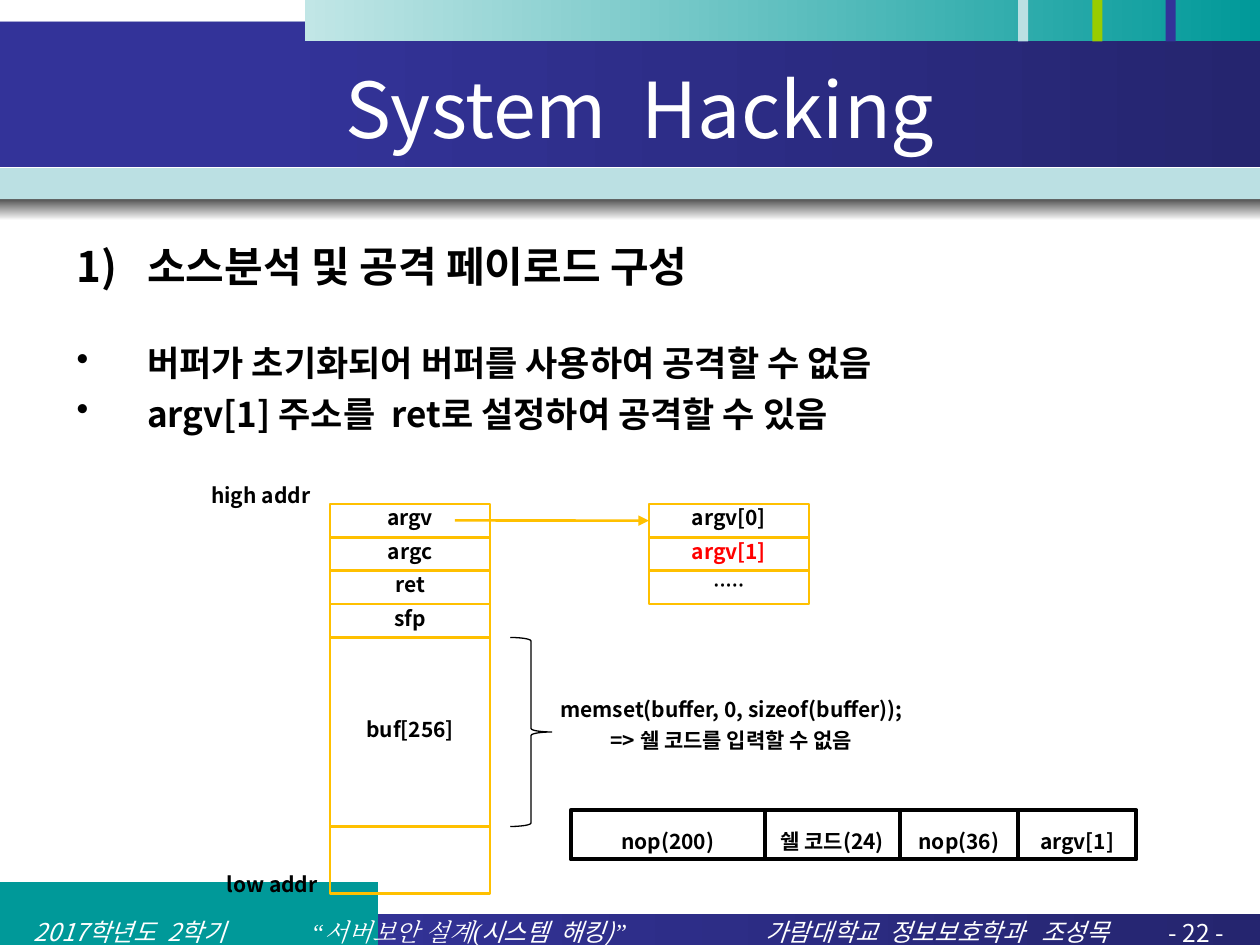
"""Build the stack layout and attack payload slide of a system hacking lecture."""
import pptx
import pptx.dml.color
import pptx.enum.shapes
import pptx.enum.text
import pptx.oxml.ns
import pptx.util
from lxml import etree

Inches = pptx.util.Inches
Pt = pptx.util.Pt
Shape = pptx.enum.shapes.MSO_SHAPE
Align = pptx.enum.text.PP_ALIGN
Anchor = pptx.enum.text.MSO_ANCHOR
qn = pptx.oxml.ns.qn

THEME = {
    "white": "FFFFFF", "black": "000000", "navy": "333399", "navy_dark": "25256F",
    "teal": "009999", "pale": "BBE0E3", "lime": "99CC00", "amber": "FFC000", "red": "FF0000",
    "font": "Noto Sans CJK KR", "serif": "Times New Roman", "dots": "Cambria",
    "title": 44, "heading": 24, "bullet": 20, "footer": 14, "label": 12,
}

BANDS = [
    ((2.08, 0, 7.92, 1.58), ("navy", "navy_dark"), 0),
    ((0, 0, 10, 0.33), ("white", "teal"), 0),
    ((8.08, 0, 0.08, 0.33), ("pale",), 0),
    ((8.67, 0, 0.08, 0.33), ("lime",), 0),
    ((9.25, 0, 0.08, 0.33), ("navy",), 0),
    ((0, 0.17, 2.42, 1.17), ("navy",), 0),
    ((0, 1.5, 10, 0.25), ("black", "white"), 270),
    ((0, 1.33, 10, 0.25), ("pale",), 0),
    ((0, 0, 2.42, 0.17), ("white",), 0),
    ((2.25, 7.25, 7.75, 0.25), ("navy", "navy_dark"), 0),
]
FOOTER_TAB = [(0, 7.25), (2.83, 7.25), (2.61, 7.5), (0, 7.5)]
COURSE = [("2017학년도  2학기\t", "font"), ("“서버보안 설계(", "serif"),
          ("시스템  해킹)", "font"), ("”", "serif")]
TEACHER = "가람대학교  정보보호학과   조성목"
PAGE_NUMBER = "- 22 -"
TITLE = "System  Hacking"
BODY = [
    ("소스분석 및 공격 페이로드 구성", "heading", "1)", 6, 1),
    ("버퍼가 초기화되어 버퍼를 사용하여 공격할 수 없음", "bullet", "•", 5, 2),
    ("argv[1] 주소를  ret로 설정하여 공격할 수 있음", "bullet", "•", 5, 1),
]
ROW = 0.265
STACK = [("argv", ROW), ("argc", ROW), ("ret", ROW), ("sfp", ROW), ("buf[256]", 1.5), ("", 0.53)]
ARGUMENTS = [("argv[0]", "black", "font"), ("argv[1]", "red", "font"), ("∙∙∙∙∙", "black", "dots")]
PAYLOAD = [("nop(200)", 1.54), ("쉘 코드(24)", 1.07), ("nop(36)", 0.94), ("argv[1]", 0.94)]
LABELS = [
    ((1.7, 6.87, 0.92, 0.3), ["low addr"]),
    ((1.57, 3.78, 1, 0.3), ["high addr"]),
    ((4.33, 5.48, 2.95, 0.54), ["memset(buffer, 0, sizeof(buffer));", "=> 쉘 코드를 입력할 수 없음"]),
]
STACK_LEFT, ARGUMENTS_LEFT, STACK_TOP, CELL_WIDTH = 2.62, 5.15, 4, 1.27


def color(name):
    return pptx.dml.color.RGBColor.from_string(THEME[name])


def add_span(para, text, size, ink="black", font="font", bold=False, italic=False):
    span = para.add_run()
    span.text = text
    span.font.size = Pt(THEME[size])
    span.font.bold, span.font.italic = bold, italic
    span.font.color.rgb = color(ink)
    span.font.name = THEME[font]
    etree.SubElement(span.font._element, qn("a:ea"), typeface=THEME[font])


def add_text_box(slide, place, wrap=True):
    frame = slide.shapes.add_textbox(*map(Inches, place)).text_frame
    frame.word_wrap = wrap
    return frame


def next_paragraph(frame, index):
    return frame.add_paragraph() if index else frame.paragraphs[0]


def paint(shape, names, angle=0):
    shape.shadow.inherit = False
    shape.line.fill.background()
    if len(names) == 1:
        shape.fill.solid()
        shape.fill.fore_color.rgb = color(names[0])
        return
    shape.fill.gradient()
    shape.fill.gradient_angle = angle
    for stop, name in zip(shape.fill.gradient_stops, names):
        stop.color.rgb = color(name)


def add_outline(slide, kind, place, edge, width):
    shape = slide.shapes.add_shape(kind, *map(Inches, place))
    shape.shadow.inherit = False
    shape.fill.background()
    shape.line.color.rgb = color(edge)
    shape.line.width = Pt(width)
    return shape


def add_cell(slide, place, text, edge="amber", width=1.5, spacing=0.7, ink="black", font="font"):
    cell = add_outline(slide, Shape.RECTANGLE, place, edge, width)
    cell.text_frame.vertical_anchor = Anchor.MIDDLE
    if text:
        para = cell.text_frame.paragraphs[0]
        para.alignment = Align.CENTER
        para.line_spacing = spacing
        para.space_before = Pt(3)
        add_span(para, text, "label", ink, font, bold=True)
    return cell


def add_line(slide, start, end, ink, width):
    line = slide.shapes.add_connector(pptx.enum.shapes.MSO_CONNECTOR.STRAIGHT,
                                      *map(Inches, start + end))
    line.line.color.rgb = color(ink)
    line.line.width = Pt(width)
    etree.SubElement(line._element.spPr, qn("a:effectLst"))
    return line


def add_frame(slide):
    for place, names, angle in BANDS:
        paint(slide.shapes.add_shape(Shape.RECTANGLE, *map(Inches, place)), names, angle)
    builder = slide.shapes.build_freeform(*FOOTER_TAB[0], scale=Inches(1))
    builder.add_line_segments(FOOTER_TAB[1:], close=True)
    paint(builder.convert_to_shape(), ("teal",))
    add_line(slide, (10, 1.33), (0, 1.33), "white", 0.75)

    para = add_text_box(slide, (0.17, 7.23, 5.46, 0.5)).paragraphs[0]
    tabs = etree.SubElement(para._p.get_or_add_pPr(), qn("a:tabLst"))
    etree.SubElement(tabs, qn("a:tab"), pos=str(Inches(2.2)), algn="l")
    for text, font in COURSE:
        add_span(para, text, "footer", "white", font, italic=True)
    for place, text, italic in [((4.92, 7.23, 5.04, 0.5), TEACHER, True),
                                ((8.8, 7.24, 1.39, 0.37), PAGE_NUMBER, False)]:
        para = add_text_box(slide, place, wrap=italic).paragraphs[0]
        para.alignment = Align.CENTER
        add_span(para, text, "footer", "white", italic=italic)


def add_title(slide):
    title = slide.shapes.title
    slide.shapes._spTree.append(title._element)
    title.left, title.top, title.width, title.height = map(Inches, (0.83, 0.42, 8.5, 0.87))
    title.text_frame.vertical_anchor = Anchor.MIDDLE
    para = title.text_frame.paragraphs[0]
    para.alignment = Align.CENTER
    add_span(para, TITLE, "title", "white")


def add_body(slide):
    frame = add_text_box(slide, (0.51, 1.86, 9.14, 1.64))
    for index, (text, size, marker, before, spacing) in enumerate(BODY):
        para = next_paragraph(frame, index)
        para.alignment = Align.JUSTIFY
        para.space_before = Pt(before)
        para.line_spacing = float(spacing)
        props = para._p.get_or_add_pPr()
        props.set("marL", str(Inches(0.56)))
        props.set("indent", str(-Inches(0.56)))
        if marker == "•":
            etree.SubElement(props, qn("a:buChar"), char=marker)
        else:
            etree.SubElement(props, qn("a:buAutoNum"), type="arabicParenR")
        add_span(para, text, size, bold=True)


def add_diagram(slide):
    top = STACK_TOP
    for text, height in STACK:
        add_cell(slide, (STACK_LEFT, top, CELL_WIDTH, height), text)
        top += height
    arguments = [add_cell(slide, (ARGUMENTS_LEFT, STACK_TOP + row * ROW, CELL_WIDTH, ROW),
                          text, ink=ink, font=font)
                 for row, (text, ink, font) in enumerate(ARGUMENTS)]
    arrow = add_line(slide, (3.61, 4.13), (ARGUMENTS_LEFT, 4.13), "amber", 1.5)
    arrow.end_connect(arguments[0], 1)
    etree.SubElement(arrow.line._get_or_add_ln(), qn("a:tailEnd"), type="triangle")
    add_outline(slide, Shape.RIGHT_BRACE, (4.05, STACK_TOP + 4 * ROW, 0.33, 1.5), "black", 0.75)
    for place, lines in LABELS:
        frame = add_text_box(slide, place, wrap=False)
        for index, text in enumerate(lines):
            para = next_paragraph(frame, index)
            para.alignment = Align.CENTER
            para.space_before = Pt(3)
            add_span(para, text, "label", bold=True)
    left = 4.53
    for text, width in PAYLOAD:
        add_cell(slide, (left, 6.43, width, 0.39), text, "black", 2.25, 1.5)
        left += width


def main():
    deck = pptx.Presentation()
    deck.slide_width, deck.slide_height = Inches(10), Inches(7.5)
    slide = deck.slides.add_slide(deck.slide_layouts[5])
    for add_part in (add_frame, add_title, add_body, add_diagram):
        add_part(slide)
    deck.save("out.pptx")


if __name__ == "__main__":
    main()
